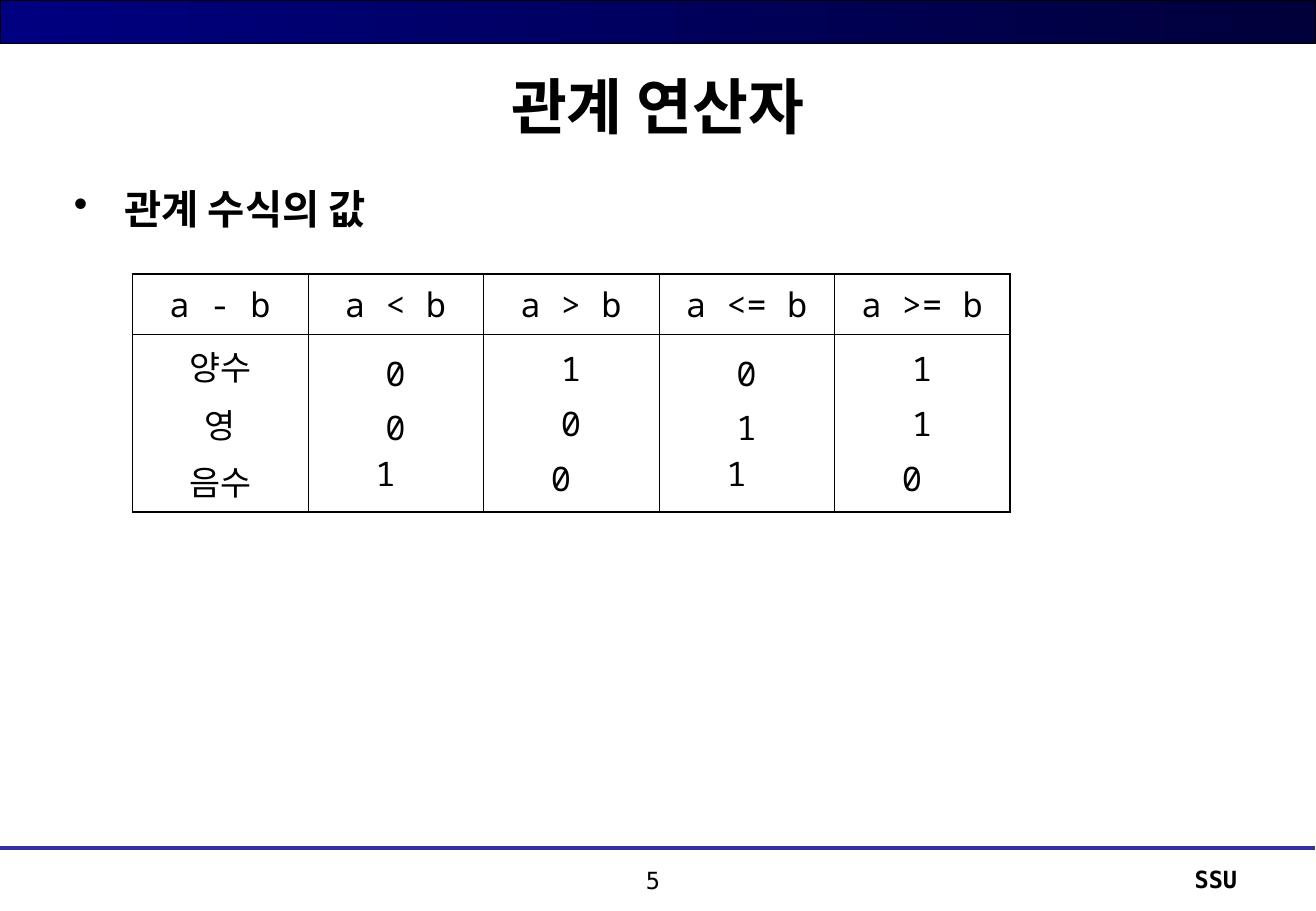
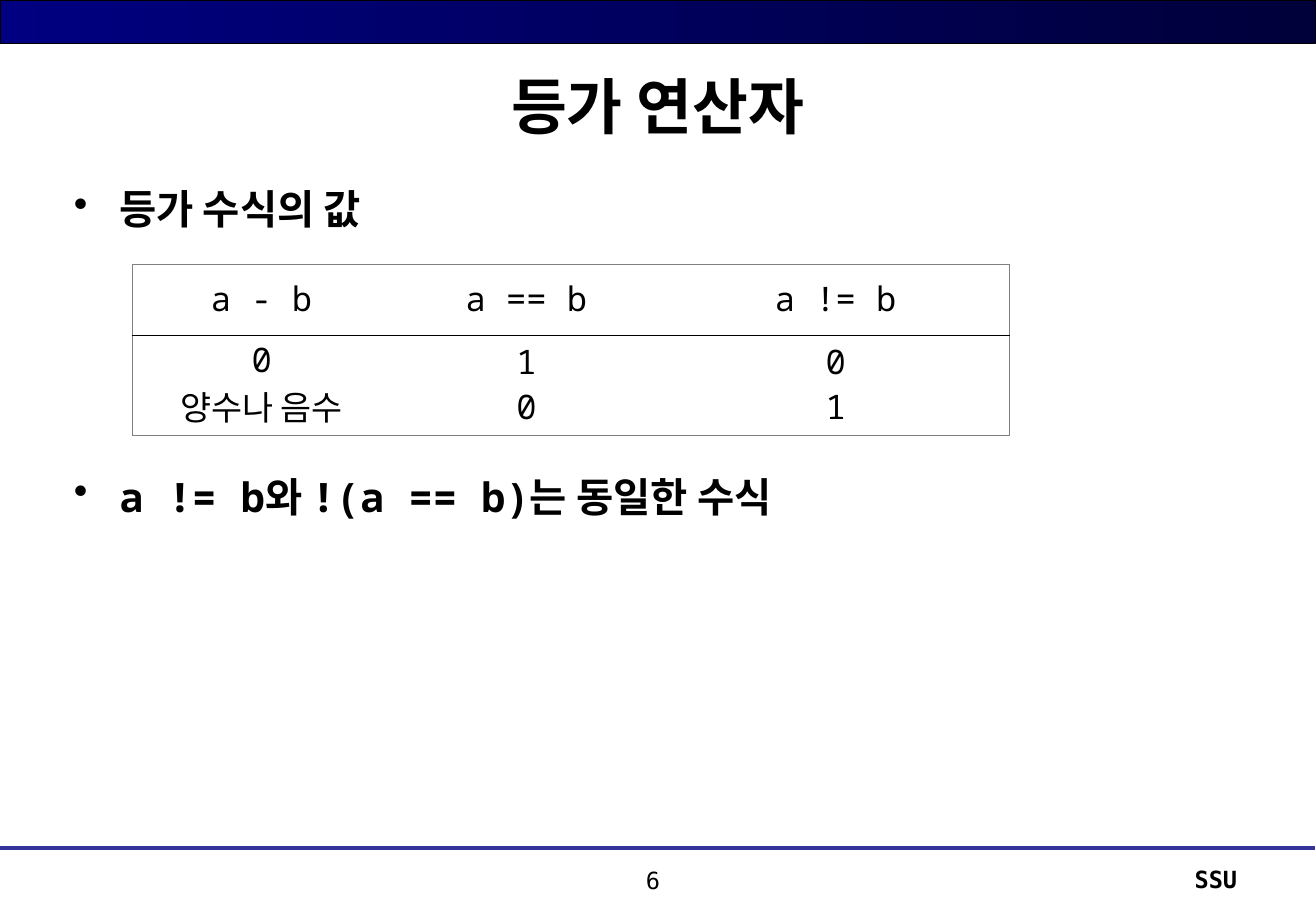
from lxml import etree
from pptx import Presentation
from pptx.dml.color import RGBColor
from pptx.enum.shapes import MSO_CONNECTOR, MSO_SHAPE
from pptx.enum.text import MSO_ANCHOR, PP_ALIGN
from pptx.oxml.ns import qn
from pptx.util import Pt

STRAIGHT = MSO_CONNECTOR.STRAIGHT
RECTANGLE = MSO_SHAPE.RECTANGLE
TOP, MIDDLE = MSO_ANCHOR.TOP, MSO_ANCHOR.MIDDLE
LEFT, CENTER, RIGHT = PP_ALIGN.LEFT, PP_ALIGN.CENTER, PP_ALIGN.RIGHT

BLACK = RGBColor(0x00, 0x00, 0x00)
GRAY = RGBColor(0x80, 0x80, 0x80)
NAVY = RGBColor(0x00, 0x00, 0x80)
DARK_NAVY = RGBColor(0x00, 0x00, 0x3B)
INDIGO = RGBColor(0x33, 0x33, 0x99)

TEXT_FONT = "DejaVu Sans Mono"
CODE_FONT = "Noto Sans Mono"

PAGE_WIDTH, PAGE_HEIGHT = 780.48, 540
BAND_BOX = (0, 0, 780, 26)
TITLE_BOX = (39, 26, 702, 72.7)
BODY_BOX = (36.7, 105.8, 704, 391)
SCHOOL_BOX = (554.4, 509, 186.5, 26.6)
NUMBER_BOX = (334.8, 509.8, 105, 26.6)
FOOTER_RULE_TOP = 502.6

THIN = (BLACK, 0.45)
THICK = (BLACK, 1.08)
GRAY_EDGE = (GRAY, 0.75)


def add_run(para, text, size, font=TEXT_FONT, bold=False):
    span = para.add_run()
    span.text = text
    span.font.size = Pt(size)
    span.font.name = font
    span.font.bold = bold
    span.font.color.rgb = BLACK


def add_text_frame(page, box, anchor=TOP):
    frame = page.shapes.add_textbox(*map(Pt, box)).text_frame
    frame.word_wrap = True
    frame.vertical_anchor = anchor
    return frame


def add_label(page, box, text, size, align, bold=False, anchor=TOP):
    para = add_text_frame(page, box, anchor).paragraphs[0]
    para.alignment = align
    add_run(para, text, size, bold=bold)


def add_frame(page, title, number):
    band = page.shapes.add_shape(RECTANGLE, *map(Pt, BAND_BOX))
    band.shadow.inherit = False
    band.fill.gradient()
    band.fill.gradient_angle = 0
    for stop, color, position in zip(band.fill.gradient_stops, (NAVY, DARK_NAVY), (0, 1)):
        stop.color.rgb = color
        stop.position = position
    band.line.color.rgb = BLACK
    band.line.width = Pt(0.75)

    rule = page.shapes.add_connector(
        STRAIGHT, Pt(0), Pt(FOOTER_RULE_TOP), Pt(BAND_BOX[2]), Pt(FOOTER_RULE_TOP))
    rule.line.color.rgb = INDIGO
    rule.line.width = Pt(2.5)
    etree.SubElement(rule._element.spPr, qn("a:effectLst"))

    add_label(page, TITLE_BOX, title, 36, CENTER, bold=True, anchor=MIDDLE)
    add_label(page, SCHOOL_BOX, "SSU", 14, RIGHT, bold=True)
    add_label(page, NUMBER_BOX, str(number), 14, CENTER)


def add_bullets(page, box, bullets, indent):
    frame = add_text_frame(page, box)
    for index, (runs, space_before, line_spacing) in enumerate(bullets):
        para = frame.add_paragraph() if index else frame.paragraphs[0]
        para.alignment = LEFT
        para.space_before = Pt(space_before)
        para.line_spacing = line_spacing
        properties = para._p.get_or_add_pPr()
        properties.set("marL", str(Pt(indent)))
        properties.set("indent", str(-Pt(indent)))
        etree.SubElement(properties, qn("a:buChar"), char="•")
        for text, font in runs:
            add_run(para, text, 24, font, bold=True)


def set_borders(cell, edges):
    properties = cell._tc.get_or_add_tcPr()
    for index, (name, edge) in enumerate(zip(("lnL", "lnR", "lnT", "lnB"), edges)):
        line = etree.Element(qn(f"a:{name}"))
        properties.insert(index, line)
        if edge is None:
            line.set("w", "0")
            etree.SubElement(line, qn("a:noFill"))
            continue
        color, width = edge
        line.set("w", str(Pt(width)))
        fill = etree.SubElement(line, qn("a:solidFill"))
        etree.SubElement(fill, qn("a:srgbClr"), val=str(color))


def fill_cell(cell, texts, line_spacing):
    cell.fill.background()
    cell.vertical_anchor = MIDDLE
    frame = cell.text_frame
    for index, text in enumerate(texts):
        para = frame.add_paragraph() if index else frame.paragraphs[0]
        para.alignment = CENTER
        para.space_before = Pt(5)
        para.line_spacing = line_spacing
        for part_index, part in enumerate(text.split("\n")):
            if part_index:
                para.add_line_break()
            add_run(para, part, 20, CODE_FONT)


def add_value_table(page, origin, widths, heights, rows, outer, column_rule, line_spacing=1.0):
    left, top = origin
    graphic = page.shapes.add_table(
        len(heights), len(widths), Pt(left), Pt(top), Pt(sum(widths)), Pt(sum(heights)))
    table = graphic.table
    table.first_row = False
    table.horz_banding = False
    for column, width in zip(table.columns, widths):
        column.width = Pt(width)
    last_row, last_column = len(heights) - 1, len(widths) - 1
    for row_index, (height, row) in enumerate(zip(heights, rows)):
        table.rows[row_index].height = Pt(height)
        for column_index, texts in enumerate(row):
            cell = table.cell(row_index, column_index)
            fill_cell(cell, texts, line_spacing)
            set_borders(cell, (
                outer if column_index == 0 else column_rule,
                outer if column_index == last_column else column_rule,
                outer if row_index == 0 else THIN,
                outer if row_index == last_row else THIN,
            ))


def build_relational_page(page):
    add_frame(page, "관계 연산자", 5)
    add_bullets(page, BODY_BOX, [([("관계 수식의 값", TEXT_FONT)], 6, 1.0)], 30)
    rows = [
        [["a - b"], ["a < b"], ["a > b"], ["a <= b"], ["a >= b"]],
        [["양수", "영", "음수"], ["0", "0\n1 "], ["1", "0", "0 "],
         ["0", "1\n1 "], ["1", "1", "0 "]],
    ]
    add_value_table(page, (78.5, 162.4), [104.1] * 5, [36, 105.1], rows, THICK, THIN)


def build_equality_page(page):
    add_frame(page, "등가 연산자", 6)
    add_bullets(page, BODY_BOX, [
        ([("등가 수식의 값", TEXT_FONT)], 6, 1.0),
        ([("a != b", CODE_FONT), ("와 ", TEXT_FONT), ("!(a == b)", CODE_FONT),
          ("는 동일한 수식", TEXT_FONT)], 133, 1.3),
    ], 27)
    rows = [
        [["a - b"], ["a == b"], ["a != b"]],
        [["0", "양수나 음수"], ["1", "0"], ["0", "1"]],
    ]
    add_value_table(page, (78.5, 157), [153.4, 160.7, 206.2], [42, 59.2], rows,
                    GRAY_EDGE, None, line_spacing=0.8)


def main():
    deck = Presentation()
    deck.slide_width, deck.slide_height = Pt(PAGE_WIDTH), Pt(PAGE_HEIGHT)
    for build_page in (build_relational_page, build_equality_page):
        build_page(deck.slides.add_slide(deck.slide_layouts[6]))
    deck.save("out.pptx")


if __name__ == "__main__":
    main()
